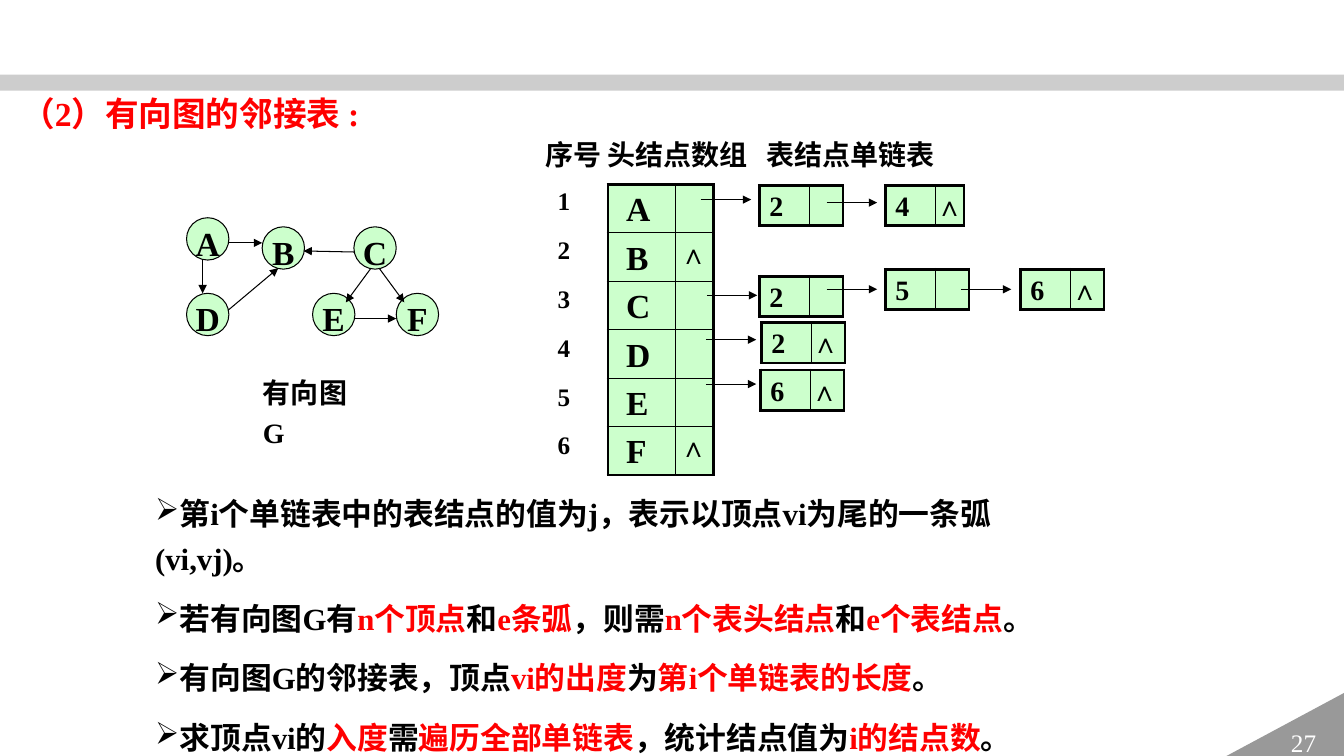
from lxml import etree
from pptx import Presentation
from pptx import util as u
from pptx.dml.color import RGBColor
from pptx.enum import shapes, text
from pptx.oxml import ns

FONT = "Times New Roman"
BLACK, RED, WHITE, GREEN = "000000", "FF0000", "FFFFFF", "CCFFCC"

# Content: runs of a statement alternate between black and red
TITLE = "（2）有向图的邻接表 :"
HEADING = "序号 头结点数组\t表结点单链表"
GRAPH_NAME = "有向图G"
PAGE_NUMBER = "27"
STATEMENTS = [
    ["第i个单链表中的表结点的值为j，表示以顶点vi为尾的一条弧(vi,vj)。"],
    ["若有向图G有", "n个顶点", "和", "e条弧", "，则需", "n个表头结点", "和", "e个表结点", "。"],
    ["有向图G的邻接表，顶点", "vi的出度", "为", "第i个单链表的长度", "。"],
    ["求顶点vi的", "入度", "需", "遍历全部单链表", "，统计结点值为", "i的结点数", "。"],
]
HEAD_ROWS = [("A", ""), ("B", "∧"), ("C", ""), ("D", ""), ("E", ""), ("F", "∧")]

# Graph: vertex left and top, edge start and end
VERTEX_SIZE = 0.42
VERTICES = {"A": (1.85, 2.16), "B": (2.6, 2.25), "C": (3.51, 2.25),
            "D": (1.85, 2.91), "E": (3.1, 2.91), "F": (3.93, 2.91)}
EDGES = [
    ((2.26, 2.41), (2.6, 2.41)),    # A to B
    ((2.01, 2.58), (2.01, 2.91)),   # A to D
    ((2.26, 3.08), (2.76, 2.66)),   # D to B
    ((3.51, 2.5), (3.01, 2.49)),    # C to B
    ((3.68, 2.66), (3.43, 3)),      # C to E
    ((3.76, 2.66), (4.01, 3)),      # C to F
    ((3.51, 3.16), (3.93, 3.16)),   # E to F
]

# List nodes: left, top, value, end mark, width of the pointer cell
NODES = [
    (7.53, 1.84, "2", "", 0.33), (8.78, 1.84, "4", "∧", 0.28),
    (7.53, 2.74, "2", "", 0.33), (8.78, 2.67, "5", "", 0.33), (10.12, 2.67, "6", "∧", 0.33),
    (7.55, 3.2, "2", "∧", 0.33), (7.54, 3.67, "6", "∧", 0.33),
]
POINTER_LENGTH = 0.5
POINTERS = [(6.95, 1.98), (8.2, 2.01), (7.01, 2.93), (8.2, 2.87),
            (9.53, 2.87), (7, 3.37), (7, 3.81)]


def color(value):
    return RGBColor.from_string(value)


def inches(*values):
    return [u.Inches(value) for value in values]


def add_xml(parent, tag, **attributes):
    return etree.SubElement(parent, ns.qn(tag), attributes)


def add_run(paragraph, content, size, run_color=BLACK, bold=True):
    run = paragraph.add_run()
    run.text = content
    values = {"name": FONT, "size": u.Pt(size), "bold": bold}
    for name, value in values.items():
        setattr(run.font, name, value)
    run.font.color.rgb = color(run_color)


def write(frame, paragraphs, size, first_color=BLACK, bullet=None, tab=None, **options):
    """Fill a text frame; odd runs of a paragraph are red."""
    for name, value in options.items():
        setattr(frame, name, value)
    for index, runs in enumerate(paragraphs):
        paragraph = frame.add_paragraph() if index else frame.paragraphs[0]
        properties = paragraph._p.get_or_add_pPr()
        if bullet:
            bullet_color = add_xml(properties, "a:buClr")
            add_xml(bullet_color, "a:srgbClr", val=BLACK)
            add_xml(properties, "a:buChar", char=bullet)
        if tab:
            tabs = add_xml(properties, "a:tabLst")
            add_xml(tabs, "a:tab", pos=str(u.Inches(tab)), algn="l")
        paragraph.line_spacing = 1.2
        if index:
            paragraph.space_before = u.Pt(size / 2)
        for position, content in enumerate(runs):
            add_run(paragraph, content, size, RED if position % 2 else first_color)


def add_text(slide, box, paragraphs, size, **options):
    frame = slide.shapes.add_textbox(*inches(*box)).text_frame
    write(frame, paragraphs, size, word_wrap=True, **options)


def add_shape(slide, kind, box, fill, outline=None):
    shape = slide.shapes.add_shape(kind, *inches(*box))
    shape.shadow.inherit = False
    shape.fill.solid()
    shape.fill.fore_color.rgb = color(fill)
    if outline:
        shape.line.color.rgb = color(outline)
        shape.line.width = u.Pt(0.75)
    else:
        shape.line.fill.background()
    return shape


def add_arrow(slide, start, end):
    arrow = slide.shapes.add_connector(shapes.MSO_CONNECTOR.STRAIGHT, *inches(*start, *end))
    arrow.line.color.rgb = color(BLACK)
    arrow.line.width = u.Pt(0.75)
    add_xml(arrow.line._get_or_add_ln(), "a:tailEnd", type="triangle")
    add_xml(arrow._element.spPr, "a:effectLst")


def add_border(cell, side, width):
    line = add_xml(cell._tc.get_or_add_tcPr(), "a:ln" + side, w=str(u.Pt(width)))
    fill = add_xml(line, "a:solidFill")
    add_xml(fill, "a:srgbClr", val=BLACK)


def add_cells(slide, left, top, rows, widths, row_height, sizes, margins):
    """Add a green two-column table with a thick frame and thin inner lines."""
    box = inches(left, top, sum(widths), row_height * len(rows))
    table = slide.shapes.add_table(len(rows), len(widths), *box).table
    table.first_row = table.horz_banding = False
    for column, width in zip(table.columns, widths):
        column.width = u.Inches(width)
    for row_index, row in enumerate(rows):
        table.rows[row_index].height = u.Inches(row_height)
        for column_index, content in enumerate(row):
            cell = table.cell(row_index, column_index)
            outer = {"L": column_index == 0, "R": column_index == len(row) - 1,
                     "T": row_index == 0, "B": row_index == len(rows) - 1}
            for side, is_outer in outer.items():
                add_border(cell, side, 2.25 if is_outer else 1)
            cell.fill.solid()
            cell.fill.fore_color.rgb = color(GREEN)
            cell.margin_left = u.Inches(margins[column_index])
            cell.margin_right = cell.margin_top = cell.margin_bottom = 0
            if content:
                write(cell.text_frame, [[content]], sizes[column_index])


def main():
    presentation = Presentation()
    presentation.slide_width, presentation.slide_height = inches(13.33, 7.5)
    slide = presentation.slides.add_slide(presentation.slide_layouts[5])

    # Band and page corner
    band = add_shape(slide, shapes.MSO_SHAPE.RECTANGLE, (0, 0.74, 13.33, 0.16), "A6A6A6")
    add_xml(band._element.spPr.find(".//" + ns.qn("a:srgbClr")), "a:alpha", val="56000")
    corner = add_shape(slide, shapes.MSO_SHAPE.RIGHT_TRIANGLE, (12.11, 6.87, 1.23, 0.66), "999999")
    corner._element.spPr.xfrm.set("flipH", "1")
    corner.text_frame.vertical_anchor = text.MSO_ANCHOR.MIDDLE
    number = corner.text_frame.paragraphs[0]
    number.alignment = text.PP_ALIGN.CENTER
    add_run(number, PAGE_NUMBER, 18, WHITE, bold=False)

    # Title
    title = slide.shapes.title
    title.left, title.top, title.width, title.height = inches(0.11, 0.79, 9.7, 0.54)
    write(title.text_frame, [[TITLE]], 24, first_color=RED, word_wrap=True,
          auto_size=text.MSO_AUTO_SIZE.NONE, vertical_anchor=text.MSO_ANCHOR.TOP)
    title.text_frame.paragraphs[0].alignment = text.PP_ALIGN.LEFT

    # Directed graph
    for name, (left, top) in VERTICES.items():
        vertex = add_shape(slide, shapes.MSO_SHAPE.OVAL,
                           (left, top, VERTEX_SIZE, VERTEX_SIZE), GREEN, BLACK)
        write(vertex.text_frame, [[name]], 24, word_wrap=False,
              vertical_anchor=text.MSO_ANCHOR.MIDDLE)
        vertex.text_frame.paragraphs[0].alignment = text.PP_ALIGN.CENTER
    for start, end in EDGES:
        add_arrow(slide, start, end)
    add_text(slide, (2.51, 3.61, 1.2, 0.9), [[GRAPH_NAME]], 20)

    # Adjacency list
    add_text(slide, (5.31, 1.25, 4.4, 0.5), [[HEADING]], 20, tab=2.19)
    numbers = [[str(index)] for index in range(1, len(HEAD_ROWS) + 1)]
    add_text(slide, (5.37, 1.73, 0.55, 3.07), numbers, 18, margin_left=u.Inches(0.16))
    add_cells(slide, 6.03, 1.83, HEAD_ROWS, (0.67, 0.38), 0.48, (24, 20), (0.18, 0.04))
    for left, top, value, mark, width in NODES:
        add_cells(slide, left, top, [(value, mark)], (0.5, width), 0.4, (20, 20), (0.1, 0))
    for left, top in POINTERS:
        add_arrow(slide, (left, top), (left + POINTER_LENGTH, top))

    # Statements
    add_text(slide, (1.44, 4.79, 9.51, 2.46), STATEMENTS, 22, bullet="➢")

    presentation.save("out.pptx")


if __name__ == "__main__":
    main()
